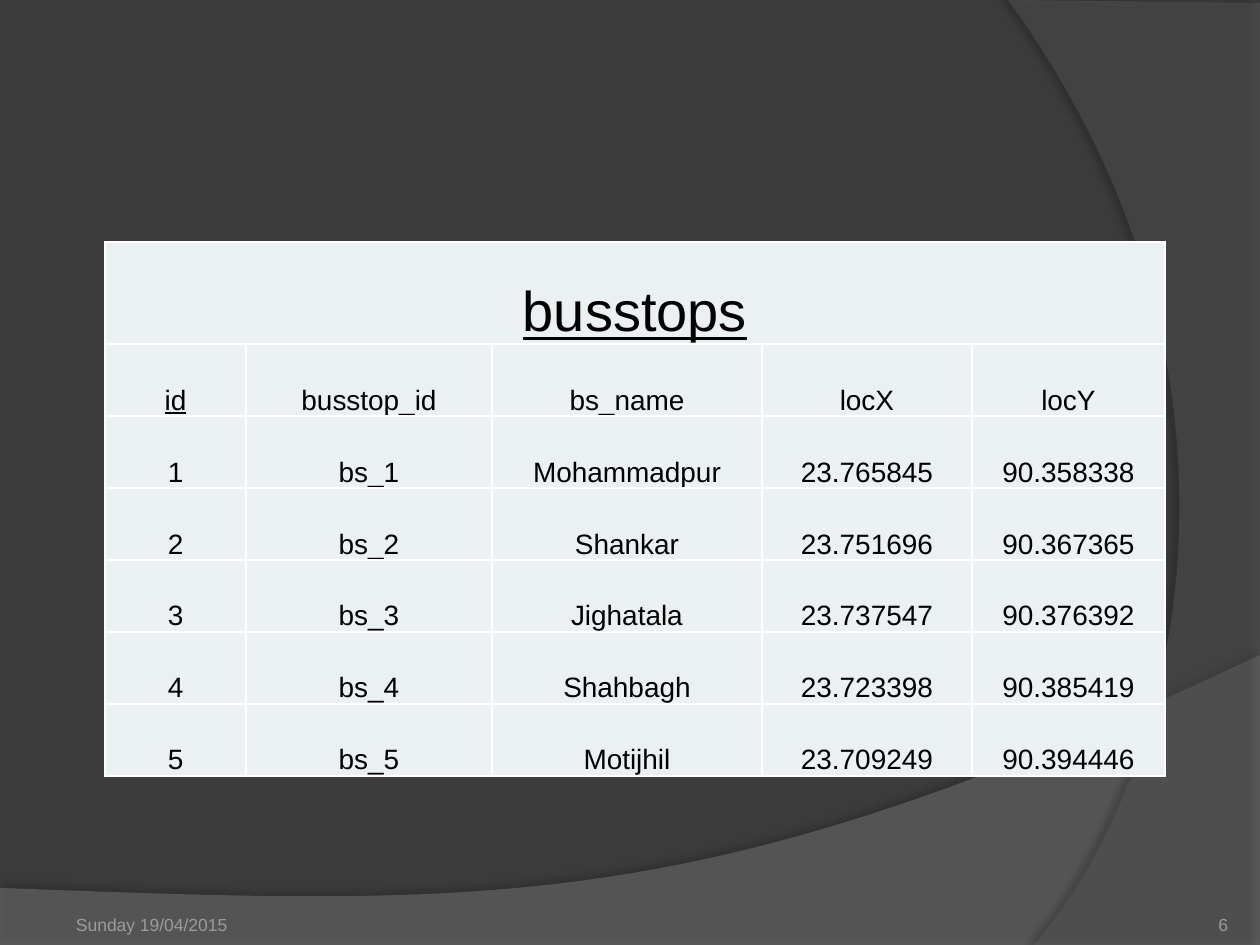
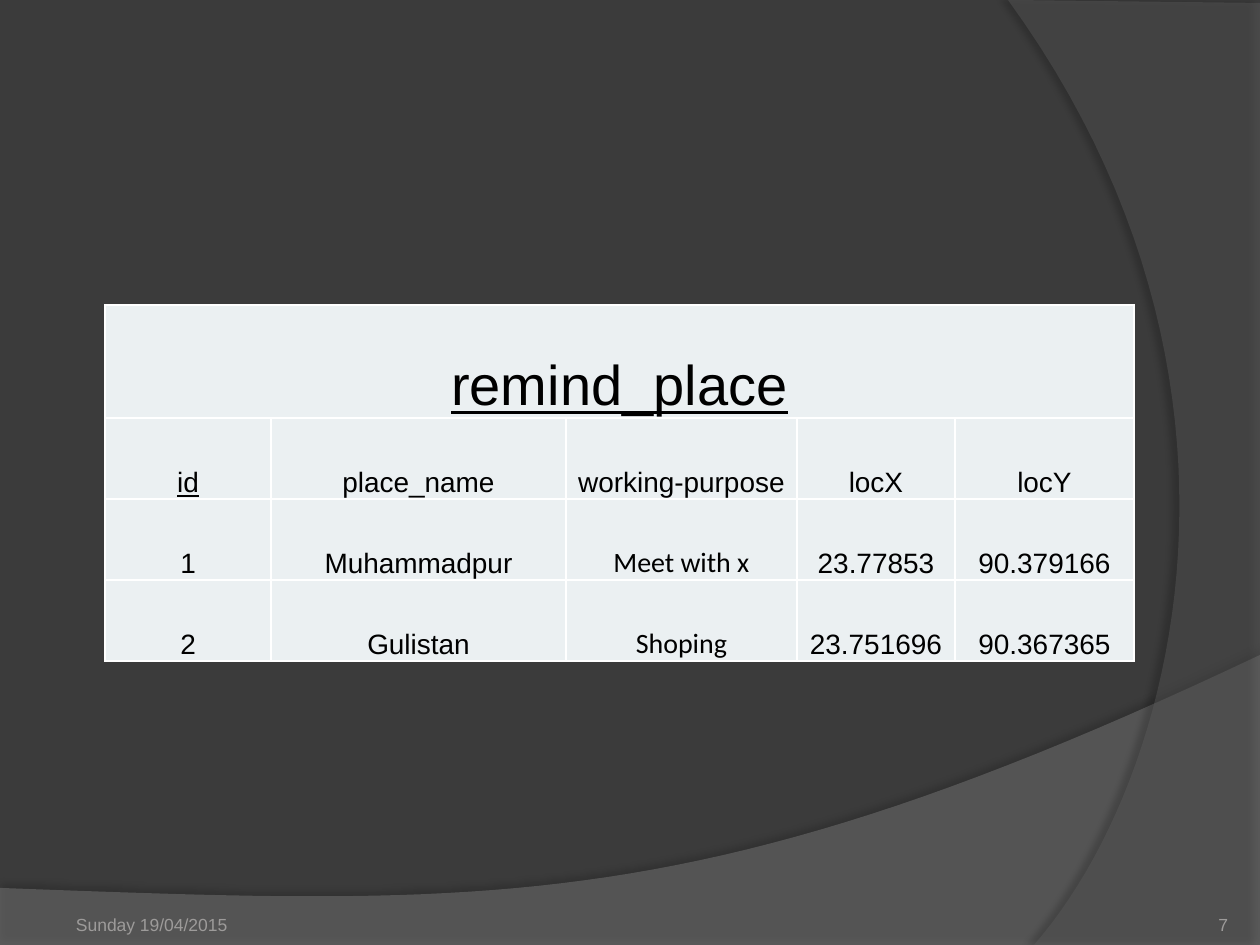
import dataclasses

import lxml.etree
import pptx
import pptx.dml.color
import pptx.enum.text
import pptx.oxml.ns
import pptx.util

EMU_PER_PX = 914400 / 126
SLIDE_BOX = (0, 0, 1260, 945)
CURVE_STEPS = 48
ALIGN = pptx.enum.text.PP_ALIGN


@dataclasses.dataclass(frozen=True)
class Theme:
    """Colours, fonts and type sizes shared by the slides."""

    background: str = "3B3B3B"
    wave: str = "7F7F7F"
    arc: str = "5E5E5E"
    shadow: str = "000000"
    footer: str = "9D9B9A"
    cell: str = "EBF0F2"
    rule: str = "FFFFFF"
    ink: str = "000000"
    font: str = "Arial"
    note_font: str = "Calibri"
    title_size: int = 32
    cell_size: int = 16
    footer_size: int = 10
    rule_width: int = 1


THEME = Theme()


def px(length):
    """Turn a length in px into EMU."""
    return pptx.util.Emu(round(length * EMU_PER_PX))


def rgb(colour):
    """Turn a hex string into a colour."""
    return pptx.dml.color.RGBColor.from_string(colour)


def add_xml(parent, tag, **attributes):
    """Append a DrawingML element and return it."""
    element = lxml.etree.SubElement(parent, pptx.oxml.ns.qn("a:" + tag))
    for key, value in attributes.items():
        element.set(key, str(value))
    return element


def style_paragraph(paragraph, size, colour, align, font=THEME.font, underline=False):
    """Set the type and alignment of one paragraph."""
    paragraph.alignment = align
    paragraph.font.name = font
    paragraph.font.size = pptx.util.Pt(size)
    paragraph.font.color.rgb = rgb(colour)
    paragraph.font.underline = underline


def bezier(start, control_a, control_b, end):
    """Return points along a cubic curve, both ends included."""
    points = []
    for step in range(CURVE_STEPS + 1):
        t = step / CURVE_STEPS
        weights = ((1 - t) ** 3, 3 * t * (1 - t) ** 2, 3 * t * t * (1 - t), t ** 3)
        corners = (start, control_a, control_b, end)
        points.append(tuple(sum(w * c[axis] for w, c in zip(weights, corners)) for axis in (0, 1)))
    return points


def add_band(slide, box, outline, colour, opacity, shadow_opacity, shadow_distance, shadow_angle):
    """Draw a translucent background band whose outline is relative to the box."""
    left, top, _, _ = box
    points = [(px(x), px(y)) for x, y in outline]
    builder = slide.shapes.build_freeform(*points[0])
    builder.add_line_segments(points[1:], close=True)
    band = builder.convert_to_shape(px(left), px(top))
    band.fill.solid()
    band.fill.fore_color.rgb = rgb(colour)
    band.line.fill.background()
    fill_colour = band.fill._xPr.find(".//" + pptx.oxml.ns.qn("a:srgbClr"))
    add_xml(fill_colour, "alpha", val=opacity * 1000)
    band.shadow.inherit = False
    effects = band._element.spPr.find(pptx.oxml.ns.qn("a:effectLst"))
    shadow = add_xml(effects, "outerShdw", blurRad=pptx.util.Pt(4), dist=pptx.util.Pt(shadow_distance),
                     dir=shadow_angle * 60000, algn="ctr", rotWithShape=0)
    shadow_colour = add_xml(shadow, "srgbClr", val=THEME.shadow)
    add_xml(shadow_colour, "alpha", val=shadow_opacity * 1000)


def add_backdrop(slide, box):
    """Fill the background and draw the wave and the arc."""
    left, top, width, height = box
    slide.background.fill.solid()
    slide.background.fill.fore_color.rgb = rgb(THEME.background)
    wave = [(0, height), (width, height)] + bezier((width, 655), (704, 919), (493, 906), (0, 888))
    arc = [(width, 3), (width, height)] + bezier((1034, height), (1178, 780), (1283, 378), (1008, 0))
    add_band(slide, box, wave, THEME.wave, 45, 35, 3.5, 270)
    add_band(slide, box, arc, THEME.arc, 40, 45, 4, 180)


def add_footer_text(slide, box, text, align, margins):
    """Place one footer text at the bottom of the box."""
    frame = slide.shapes.add_textbox(*map(px, box)).text_frame
    frame.word_wrap = True
    frame.vertical_anchor = pptx.enum.text.MSO_ANCHOR.BOTTOM
    frame.margin_left, frame.margin_top, frame.margin_right, frame.margin_bottom = map(px, margins)
    frame.text = text
    style_paragraph(frame.paragraphs[0], THEME.footer_size, THEME.footer, align)


def add_footer(slide, box, date, number):
    """Place the date on the left and the slide number on the right."""
    left, top, width, height = box
    add_footer_text(slide, (left + width - 104, top, 104, height), str(number), ALIGN.RIGHT, (0, 0, 0, 0))
    add_footer_text(slide, (left, top, 294, height), date, ALIGN.LEFT, (13, 6, 13, 0))


def style_cell(cell):
    """Give a cell its fill, margins, anchor and four rules."""
    cell.fill.solid()
    cell.fill.fore_color.rgb = rgb(THEME.cell)
    cell.vertical_anchor = pptx.enum.text.MSO_ANCHOR.BOTTOM
    cell.margin_left = cell.margin_right = cell.margin_top = px(1)
    cell.margin_bottom = 0
    properties = cell._tc.get_or_add_tcPr()
    for position, side in enumerate(("lnL", "lnR", "lnT", "lnB")):
        rule = add_xml(properties, side, w=pptx.util.Pt(THEME.rule_width))
        add_xml(add_xml(rule, "solidFill"), "srgbClr", val=THEME.rule)
        properties.insert(position, rule)


def write_cell(cell, text, size=THEME.cell_size, font=THEME.font, underline=False):
    """Write centred text in a cell."""
    cell.text = text
    style_paragraph(cell.text_frame.paragraphs[0], size, THEME.ink, ALIGN.CENTER, font, underline)


def add_relation(slide, corner, title, columns, title_height, row_height, records, note_column=None):
    """Draw a database table under its title; columns maps names to widths."""
    heights = [title_height] + [row_height] * (len(records) + 1)
    box = (*corner, sum(columns.values()), sum(heights))
    table = slide.shapes.add_table(len(heights), len(columns), *map(px, box)).table
    table.first_row = table.horz_banding = False
    for column, width in zip(table.columns, columns.values()):
        column.width = px(width)
    for row, height in zip(table.rows, heights):
        row.height = px(height)
    for cell in table.iter_cells():
        style_cell(cell)
    table.cell(0, 0).merge(table.cell(0, len(columns) - 1))
    write_cell(table.cell(0, 0), title, THEME.title_size, underline=True)
    for index, name in enumerate(columns):
        write_cell(table.cell(1, index), name, underline=name == "id")
    for row_index, record in enumerate(records, start=2):
        for index, (name, value) in enumerate(zip(columns, record)):
            font = THEME.note_font if name == note_column else THEME.font
            write_cell(table.cell(row_index, index), value, font=font)


def add_relation_slide(deck, number, **relation):
    """Add a slide with the backdrop, the footer and one database table."""
    slide = deck.slides.add_slide(deck.slide_layouts[6])
    add_backdrop(slide, SLIDE_BOX)
    add_footer(slide, (63, 885, 1165, 50), "Sunday 19/04/2015", number)
    add_relation(slide, **relation)


def main():
    """Build and save the deck."""
    deck = pptx.Presentation()
    deck.slide_width, deck.slide_height = map(px, SLIDE_BOX[2:])
    add_relation_slide(
        deck, 6, corner=(105, 242), title="busstops", title_height=102, row_height=72,
        columns={"id": 141, "busstop_id": 246, "bs_name": 270, "locX": 210, "locY": 193},
        records=[
            ("1", "bs_1", "Mohammadpur", "23.765845", "90.358338"),
            ("2", "bs_2", "Shankar", "23.751696", "90.367365"),
            ("3", "bs_3", "Jighatala", "23.737547", "90.376392"),
            ("4", "bs_4", "Shahbagh", "23.723398", "90.385419"),
            ("5", "bs_5", "Motijhil", "23.709249", "90.394446"),
        ])
    add_relation_slide(
        deck, 7, corner=(105, 305), title="remind_place", title_height=113, row_height=81,
        columns={"id": 166, "place_name": 295, "working-purpose": 231, "locX": 158, "locY": 179},
        note_column="working-purpose",
        records=[
            ("1", "Muhammadpur", "Meet with x", "23.77853", "90.379166"),
            ("2", "Gulistan", "Shoping", "23.751696", "90.367365"),
        ])
    deck.save("out.pptx")


if __name__ == "__main__":
    main()
